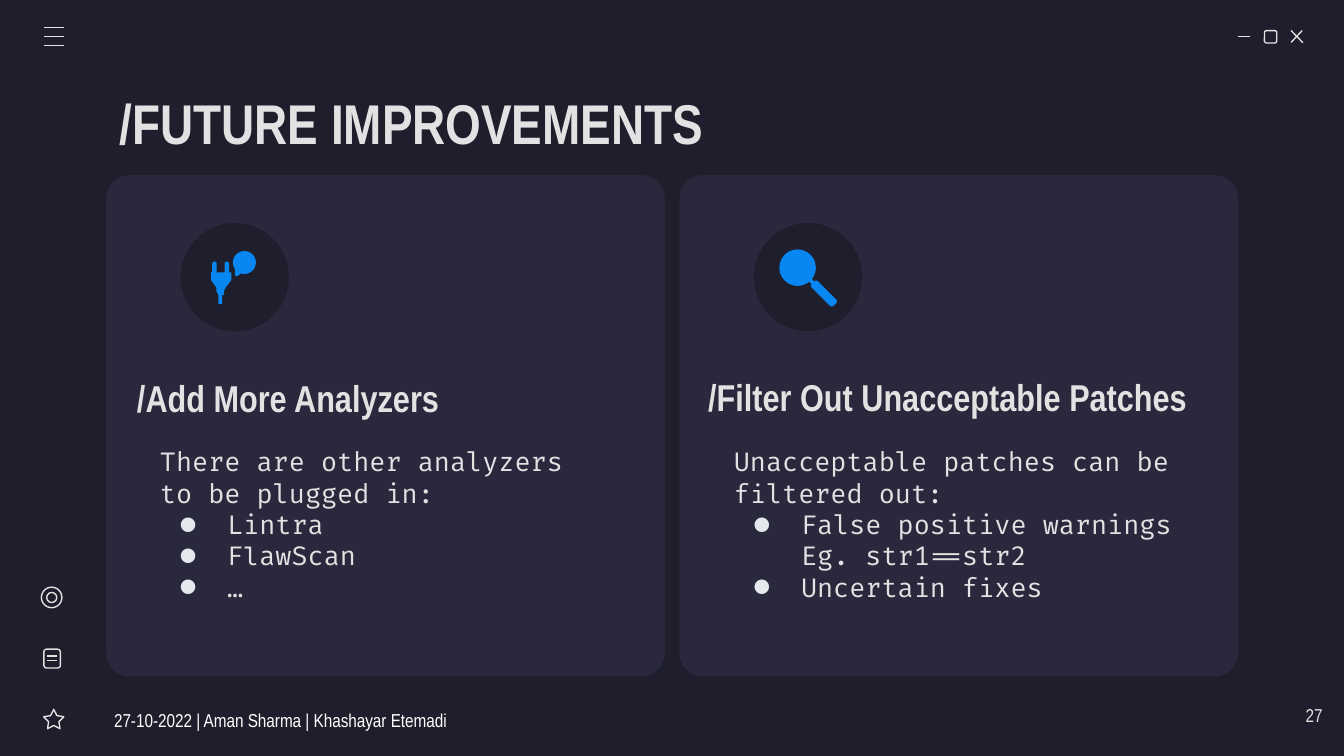
from lxml.etree import SubElement
from pptx import Presentation
from pptx.dml.color import RGBColor
from pptx.enum.shapes import MSO_CONNECTOR, MSO_SHAPE
from pptx.enum.text import MSO_ANCHOR, MSO_AUTO_SIZE, PP_ALIGN
from pptx.oxml.ns import qn
from pptx.util import Pt

COLORS = {"background": "1E1E2C", "card": "29283D", "text": "E2E2E2",
          "bullet": "E3E9ED", "accent": "0887F2", "white": "FFFFFF"}
HEADING_FONT, BODY_FONT = "Arial Narrow", "Fira Code"
INSET = 7.2

TITLE = "/FUTURE IMPROVEMENTS"
CARDS = [
    {"heading": "/Add More Analyzers", "heading_box": (66.2, 194.4, 231.8, 36.7),
     "heading_inset": INSET, "body_box": (78.5, 230.4, 246.2, 100.8),
     "intro": "There are other analyzers to be plugged in:",
     "bullets": ["Lintra", "FlawScan", "…"]},
    {"heading": "/Filter Out Unacceptable Patches", "heading_box": (379.4, 201.6, 285.8, 21.6),
     "heading_inset": 0, "body_box": (385.9, 230.4, 272.9, 100.8),
     "intro": "Unacceptable patches can be filtered out:",
     "bullets": ["False positive warnings\nEg. str1==str2", "Uncertain fixes"]},
]
FOOTER = "27-10-2022 | Aman Sharma | Khashayar Etemadi"
PAGE_NUMBER = "27"

CARD_BOX, CARD_PITCH = (56.9, 93.8, 299.3, 268.6), 307.1
DISC_BOX = (96.8, 119.5, 58, 58)

MENU_LINES = [(23.4, y, 34.2, y) for y in (14.6, 19.5, 24.4)]
WINDOW_LINES = [(663.1, 19.6, 669.9, 19.6), (691.7, 16.4, 698, 22.9), (697.6, 16.4, 691.7, 22.7)]
DOCUMENT_LINES = [(25.2, y, 30.4, y) for y in (351.4, 354)]
OUTLINE_ICONS = [
    (MSO_SHAPE.ROUNDED_RECTANGLE, (677.4, 16.4, 6.6, 6.6), None),
    (MSO_SHAPE.STAR_5_POINT, (23.4, 380, 10.8, 10.4), 0.254),
    (MSO_SHAPE.ROUNDED_RECTANGLE, (23.5, 347.8, 8.9, 10.1), None),
    (MSO_SHAPE.OVAL, (22.2, 314.6, 11, 11), None),
    (MSO_SHAPE.OVAL, (25, 317.4, 5.4, 5.4), None),
]

PRONGS = [(113.7, 140.1, 2.4, 6.2), (120.3, 140.1, 2.4, 6.2)]
PLUG_BODY = [(112.6, 145.7), (124.2, 145.7), (124.2, 147.8), (123.8, 147.8), (123.8, 149.8),
             (120.6, 154), (120.4, 156.2), (120, 158), (119.4, 158.4), (119.4, 162.7),
             (117.4, 162.7), (117.4, 158.4), (116.8, 158), (116.4, 156.2), (116.2, 154),
             (113, 149.8), (113, 147.8), (112.6, 147.8)]
BUBBLE_BOX = (124.8, 134.5, 12.3, 12.3)
BUBBLE_TAIL = [(125.7, 143), (125.9, 147.6), (126.7, 147.6), (129.6, 146)]
LENS_BOX = (417.5, 133.6, 19.6, 19.6)
LENS_NECK = [(433.6, 148.3), (432.5, 149.6), (435.6, 153.2), (437, 151.9)]
HANDLE_BOX = (433.1, 154.9, 16.6, 4.8)


def color(name):
    return RGBColor.from_string(COLORS[name])


def points(values):
    return [Pt(value) for value in values]


def fill(shape, name):
    shape.shadow.inherit = False
    shape.fill.solid()
    shape.fill.fore_color.rgb = color(name)
    shape.line.fill.background()
    return shape


def add_filled(kind, box, name, adjustment=None):
    shape = fill(slide.shapes.add_shape(kind, *points(box)), name)
    if adjustment is not None:
        shape.adjustments[0] = adjustment
    return shape


def add_outline(kind, box, adjustment):
    shape = slide.shapes.add_shape(kind, *points(box))
    shape.shadow.inherit = False
    shape.fill.background()
    shape.line.color.rgb = color("text")
    shape.line.width = Pt(0.75)
    if adjustment is not None:
        shape.adjustments[0] = adjustment


def add_line(ends):
    line = slide.shapes.add_connector(MSO_CONNECTOR.STRAIGHT, *points(ends))
    line.line.color.rgb = color("text")
    line.line.width = Pt(0.75)
    SubElement(line.element.spPr, qn("a:effectLst"))


def add_polygon(vertices):
    builder = slide.shapes.build_freeform(*vertices[0], scale=Pt(1))
    builder.add_line_segments(vertices[1:], close=True)
    fill(builder.convert_to_shape(), "accent")


def set_bullet(paragraph, bulleted):
    properties = paragraph._p.get_or_add_pPr()
    properties.set("marL", str(Pt(36 if bulleted else 0)))
    properties.set("indent", str(Pt(-25.2 if bulleted else 0)))
    if bulleted:
        bullet_color = SubElement(properties, qn("a:buClr"))
        SubElement(bullet_color, qn("a:srgbClr"), val=COLORS["bullet"])
        SubElement(properties, qn("a:buFont"), typeface=BODY_FONT)
        SubElement(properties, qn("a:buChar"), char="●")
    else:
        SubElement(properties, qn("a:buNone"))


def write(shape, box, intro, size, font=HEADING_FONT, bullets=(), bold=False, name="text",
          left=INSET, right=INSET, anchor=MSO_ANCHOR.MIDDLE, align=PP_ALIGN.LEFT):
    slide.shapes.element.append(shape.element)
    shape.left, shape.top, shape.width, shape.height = points(box)
    frame = shape.text_frame
    frame.word_wrap = True
    frame.auto_size = MSO_AUTO_SIZE.NONE
    frame.vertical_anchor = anchor
    frame.margin_left, frame.margin_right = Pt(left), Pt(right)
    frame.margin_top = frame.margin_bottom = Pt(INSET)
    for index, text in enumerate([intro, *bullets]):
        paragraph = frame.add_paragraph() if index else frame.paragraphs[0]
        paragraph.text = text
        set_bullet(paragraph, index > 0)
        paragraph.alignment = align
        paragraph.space_before = Pt(0)
        paragraph.font.size = Pt(size)
        paragraph.font.name = font
        paragraph.font.bold = bold
        paragraph.font.color.rgb = color(name)


presentation = Presentation()
presentation.slide_width, presentation.slide_height = Pt(720), Pt(405)
slide = presentation.slides.add_slide(presentation.slide_layouts.get_by_name("Comparison"))
slide.background.fill.solid()
slide.background.fill.fore_color.rgb = color("background")
title, *card_placeholders = slide.placeholders

for index in range(len(CARDS)):
    for kind, box, name, adjustment in (
            (MSO_SHAPE.ROUNDED_RECTANGLE, CARD_BOX, "card", 0.047),
            (MSO_SHAPE.OVAL, DISC_BOX, "background", None)):
        left, *rest = box
        add_filled(kind, (left + index * CARD_PITCH, *rest), name, adjustment)

for ends in MENU_LINES + WINDOW_LINES + DOCUMENT_LINES:
    add_line(ends)
for icon in OUTLINE_ICONS:
    add_outline(*icon)

for prong in PRONGS:
    add_filled(MSO_SHAPE.ROUND_2_SAME_RECTANGLE, prong, "accent", 0.5)
for bubble_or_lens in (BUBBLE_BOX, LENS_BOX):
    add_filled(MSO_SHAPE.OVAL, bubble_or_lens, "accent")
for vertices in (PLUG_BODY, BUBBLE_TAIL, LENS_NECK):
    add_polygon(vertices)
add_filled(MSO_SHAPE.ROUNDED_RECTANGLE, HANDLE_BOX, "accent", 0.3).rotation = 45

write(title, (56.9, 42.5, 607, 45.4), TITLE, 30, bold=True)
for card, heading, body in zip(CARDS, card_placeholders[::2], card_placeholders[1::2]):
    write(heading, card["heading_box"], card["heading"], 20, bold=True, left=card["heading_inset"])
    write(body, card["body_box"], card["intro"], 14, BODY_FONT, card["bullets"])

footer_box, number_box = (54, 375.1, 226.8, 21.6), (672.5, 370.1, 43.2, 31)
write(slide.shapes.add_textbox(*points(footer_box)), footer_box, FOOTER, 10, name="white", right=0)
write(slide.shapes.add_textbox(*points(number_box)), number_box, PAGE_NUMBER, 10,
      anchor=MSO_ANCHOR.TOP, align=PP_ALIGN.RIGHT)

presentation.save("out.pptx")
